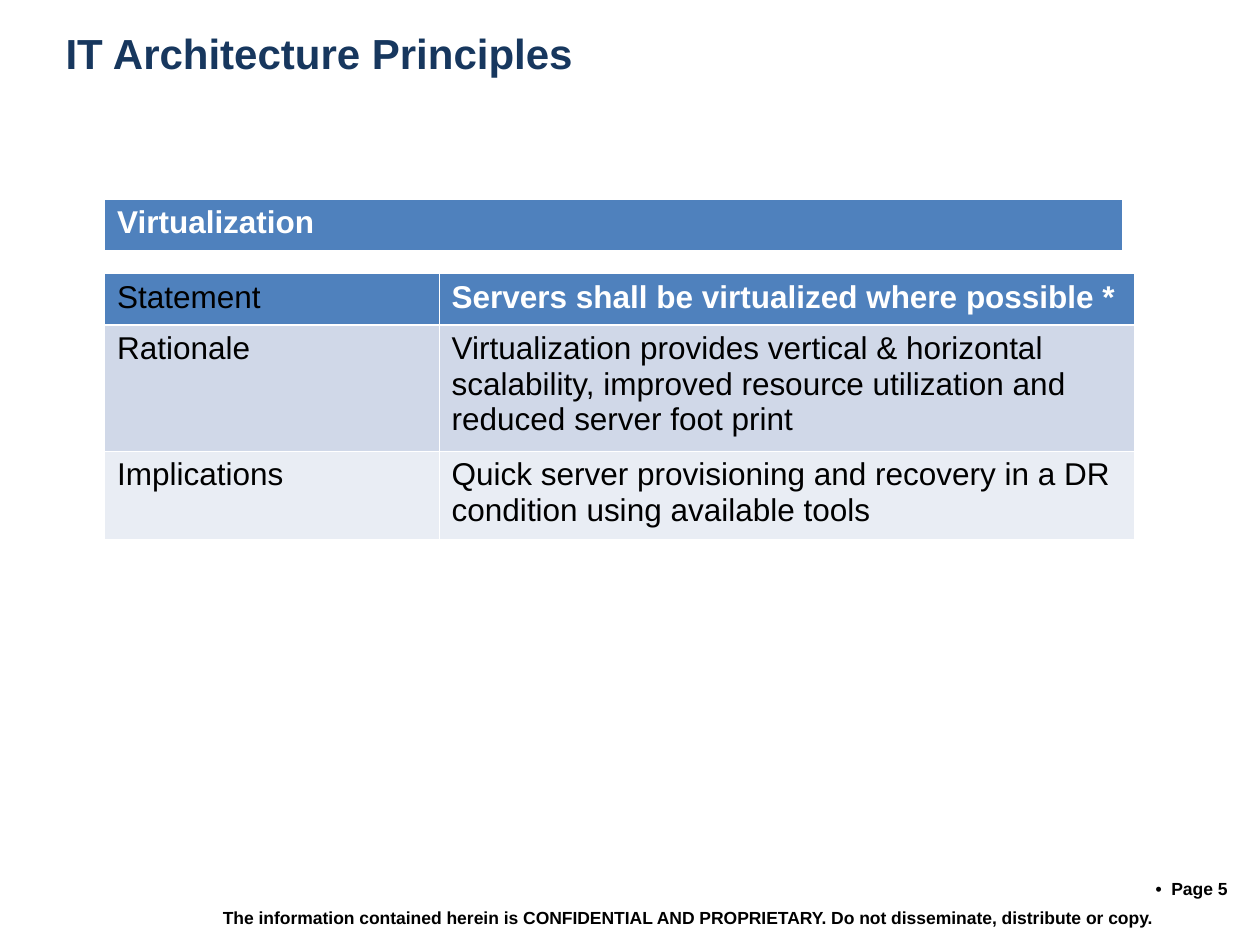
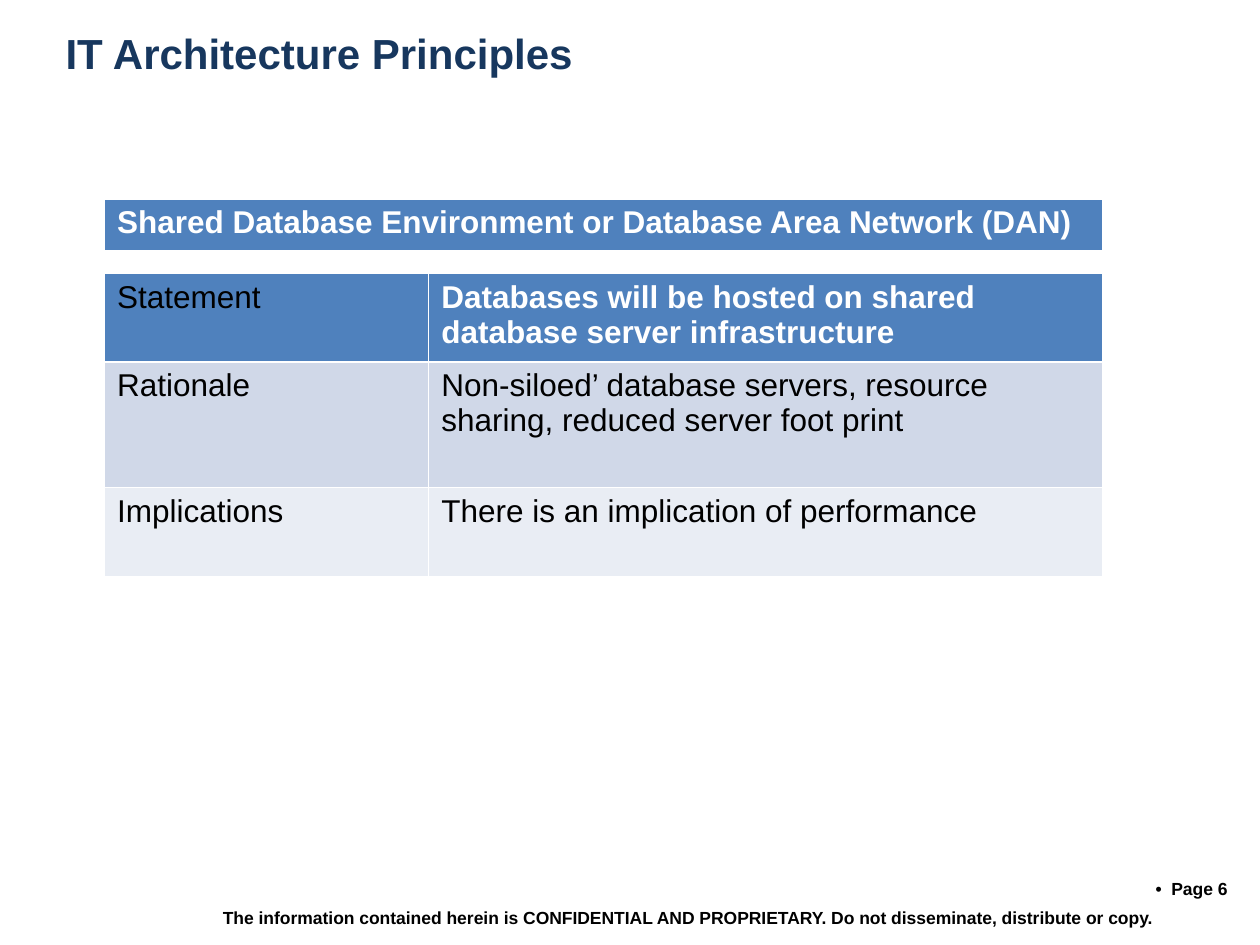
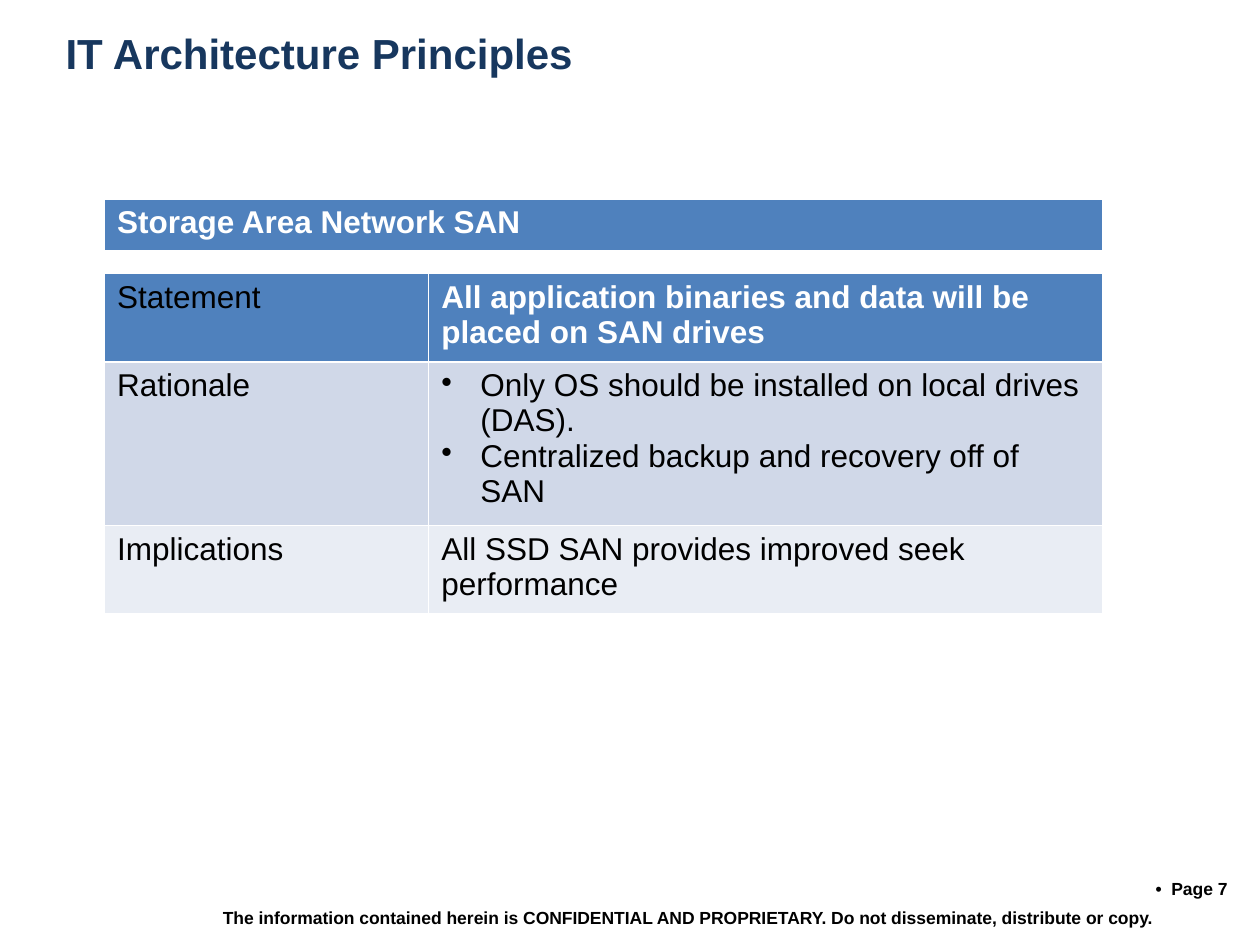
from lxml.etree import SubElement
from pptx import Presentation
from pptx.dml.color import RGBColor
from pptx.enum.text import MSO_ANCHOR, MSO_AUTO_SIZE, PP_ALIGN
from pptx.oxml.ns import qn
from pptx.util import Inches, Pt

COLORS = {
    "title": "17375E",
    "header": "4F81BD",
    "rationale": "D0D8E8",
    "implications": "E9EDF4",
    "text": "000000",
    "white": "FFFFFF",
}
TITLE = "IT Architecture Principles"
CONFIDENTIALITY = (
    "The information contained herein is CONFIDENTIAL AND PROPRIETARY. "
    "Do not disseminate, distribute or copy."
)
FIRST_PAGE = 5
TABLE_LEFT = 0.83
LABEL_SHARE = 0.325
LINE_ROW = 0.41
THIN_BORDER = 0.45
HEADER_BORDER = 1.47

PRINCIPLES = [
    {
        "name": "Virtualization",
        "statement": ["Servers shall be virtualized where possible *"],
        "rationale": [
            "Virtualization provides vertical & horizontal scalability, "
            "improved resource utilization and reduced server foot print"
        ],
        "implications": [
            "Quick server provisioning and recovery in a DR condition using available tools"
        ],
        "heading_width": 8.08,
        "table_width": 8.17,
        "row_heights": [LINE_ROW, 1, 0.7],
    },
    {
        "name": "Shared Database Environment or Database Area Network (DAN)",
        "statement": ["Databases will be hosted on shared database server infrastructure"],
        "rationale": [
            "Non-siloed’ database servers, resource sharing, reduced server foot print"
        ],
        "implications": ["There is an implication of performance"],
        "heading_width": 7.92,
        "table_width": 7.92,
        "row_heights": [0.7, 1, 0.7],
    },
    {
        "name": "Storage Area Network SAN",
        "statement": ["All application binaries and data will be placed on SAN drives"],
        "rationale": [
            "Only OS should be installed on local drives (DAS).",
            "Centralized backup and recovery off of SAN",
        ],
        "implications": ["All SSD SAN provides improved seek performance"],
        "heading_width": 7.92,
        "table_width": 7.92,
        "row_heights": [0.7, 1.3, 0.7],
    },
]


class PrincipleDeck:
    font_name = "Arial"

    def __init__(self):
        self.presentation = Presentation()
        self.presentation.slide_width = Inches(10)
        self.presentation.slide_height = Inches(7.5)
        self.slide = None

    def add_slide(self, page):
        layout = self.presentation.slide_layouts[5]
        self.slide = self.presentation.slides.add_slide(layout)
        footer = self.add_text(CONFIDENTIALITY, 1.67, 7.17, 8.08, 0.25)
        footer.line_spacing = 0.9
        footer.space_before = Pt(2.5)
        page_label = self.add_text(f"•  Page {page}", 8.92, 6.92, 0.92, 0.25)
        page_label.alignment = PP_ALIGN.RIGHT
        self.add_title(TITLE)

    def format_runs(self, paragraph, size, color, bold):
        for run in paragraph.runs:
            run.font.name = self.font_name
            run.font.size = Pt(size)
            run.font.bold = bold
            run.font.color.rgb = RGBColor.from_string(COLORS[color])

    def add_title(self, text):
        title = self.slide.shapes.title
        title.left, title.top = Inches(0.42), Inches(0.17)
        title.width, title.height = Inches(6.58), Inches(0.67)
        text_frame = title.text_frame
        text_frame.text = text
        text_frame.word_wrap = True
        text_frame.auto_size = MSO_AUTO_SIZE.NONE
        text_frame.vertical_anchor = MSO_ANCHOR.TOP
        paragraph = text_frame.paragraphs[0]
        paragraph.alignment = PP_ALIGN.LEFT
        self.format_runs(paragraph, 24, "title", True)

    def add_text(self, text, left, top, width, height):
        shape = self.slide.shapes.add_textbox(
            Inches(left), Inches(top), Inches(width), Inches(height)
        )
        shape.text_frame.word_wrap = True
        shape.text_frame.text = text
        paragraph = shape.text_frame.paragraphs[0]
        self.format_runs(paragraph, 10, "text", True)
        return paragraph

    def add_table(self, top, column_widths, row_heights):
        table = self.slide.shapes.add_table(
            len(row_heights), len(column_widths), Inches(TABLE_LEFT), Inches(top),
            Inches(sum(column_widths)), Inches(sum(row_heights)),
        ).table
        table.first_row = False
        table.horz_banding = False
        for column, width in zip(table.columns, column_widths):
            column.width = Inches(width)
        for row, height in zip(table.rows, row_heights):
            row.height = Inches(height)
        return table

    def add_borders(self, cell, top, bottom):
        properties = cell._tc.get_or_add_tcPr()
        widths = {"lnL": THIN_BORDER, "lnR": THIN_BORDER, "lnT": top, "lnB": bottom}
        for tag, width in widths.items():
            line = SubElement(properties, qn(f"a:{tag}"), w=str(Pt(width)))
            fill = SubElement(line, qn("a:solidFill"))
            SubElement(fill, qn("a:srgbClr"), val=COLORS["white"])

    def add_bullet(self, paragraph):
        properties = paragraph._p.get_or_add_pPr()
        properties.set("marL", str(Inches(0.31)))
        properties.set("indent", str(-Inches(0.31)))
        SubElement(properties, qn("a:buChar"), char="•")

    def fill_cell(self, table, row, column, texts, fill, color="text", bold=False):
        cell = table.cell(row, column)
        self.add_borders(
            cell,
            HEADER_BORDER if row == 1 else THIN_BORDER,
            HEADER_BORDER if row == 0 else THIN_BORDER,
        )
        cell.fill.solid()
        cell.fill.fore_color.rgb = RGBColor.from_string(COLORS[fill])
        cell.text_frame.text = "\n".join(texts)
        for paragraph in cell.text_frame.paragraphs:
            self.format_runs(paragraph, 18, color, bold)
            if len(texts) > 1:
                self.add_bullet(paragraph)

    def add_principle(self, principle):
        width = principle["table_width"]
        label_width = width * LABEL_SHARE
        details = self.add_table(
            2.17, [label_width, width - label_width], principle["row_heights"]
        )
        fills = {
            "statement": "header",
            "rationale": "rationale",
            "implications": "implications",
        }
        for row, (part, fill) in enumerate(fills.items()):
            is_header = row == 0
            self.fill_cell(details, row, 0, [part.capitalize()], fill)
            self.fill_cell(
                details, row, 1, principle[part], fill,
                "white" if is_header else "text", is_header,
            )
        heading = self.add_table(1.58, [principle["heading_width"]], [LINE_ROW])
        self.fill_cell(heading, 0, 0, [principle["name"]], "header", "white", True)


def main():
    deck = PrincipleDeck()
    for page, principle in enumerate(PRINCIPLES, FIRST_PAGE):
        deck.add_slide(page)
        deck.add_principle(principle)
    deck.presentation.save("out.pptx")


if __name__ == "__main__":
    main()
